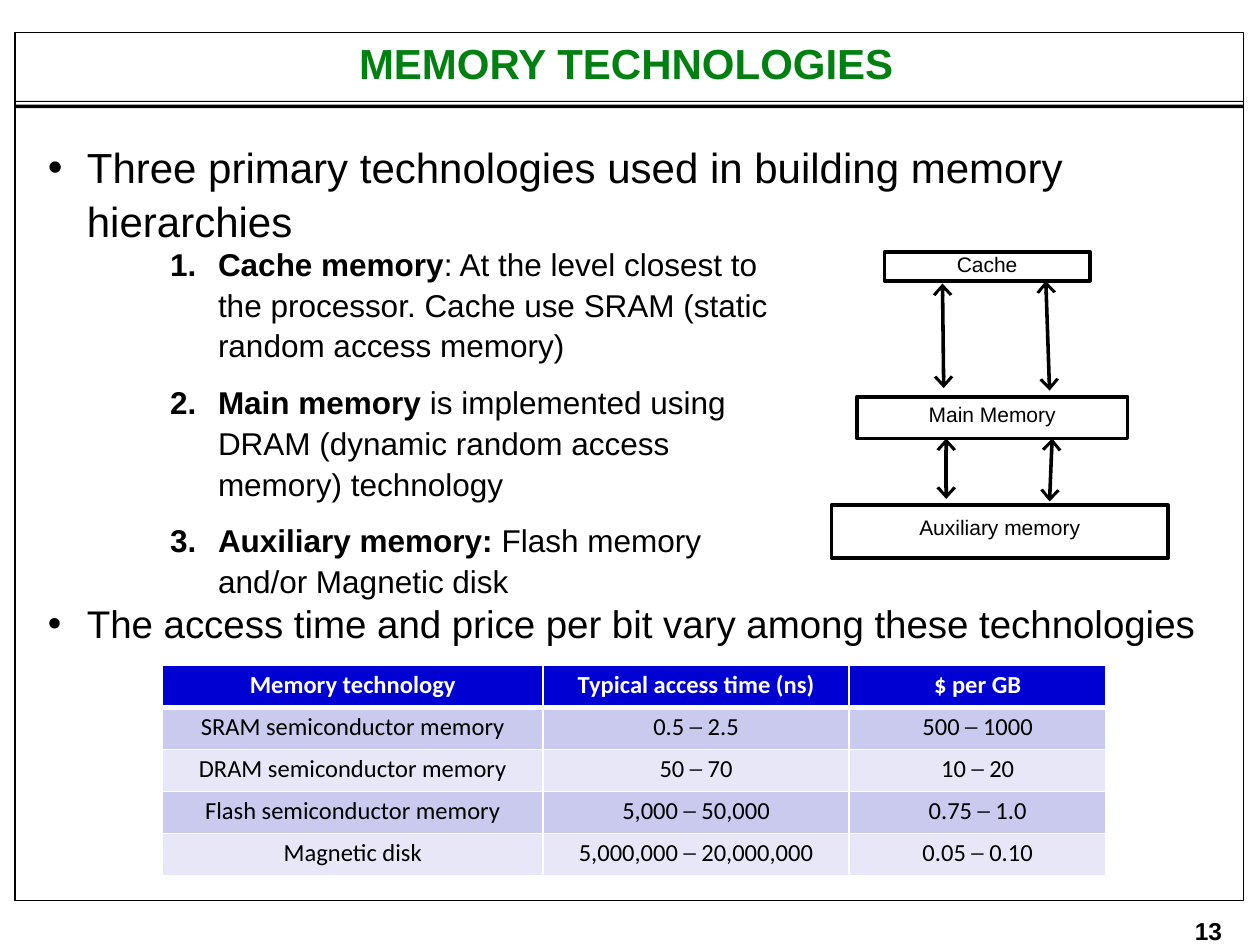
from lxml import etree
from pptx import Presentation
from pptx.dml.color import RGBColor
from pptx.enum.shapes import MSO_CONNECTOR, MSO_SHAPE
from pptx.enum.text import MSO_ANCHOR, MSO_AUTO_SIZE, PP_ALIGN
from pptx.oxml.ns import qn
from pptx.util import Inches, Pt

BLACK = RGBColor(0x00, 0x00, 0x00)
WHITE = RGBColor(0xFF, 0xFF, 0xFF)
GREEN = RGBColor(0x00, 0x80, 0x11)
HEADER_BLUE = RGBColor(0x00, 0x00, 0xD3)
BAND_DARK = RGBColor(0xCA, 0xCA, 0xEE)
BAND_LIGHT = RGBColor(0xE7, 0xE7, 0xF7)


def prepare_frame(shape, box, top_inset):
    shape.left, shape.top, shape.width, shape.height = [Inches(value) for value in box]
    frame = shape.text_frame
    frame.word_wrap = True
    frame.auto_size = MSO_AUTO_SIZE.NONE
    frame.vertical_anchor = MSO_ANCHOR.TOP
    frame.margin_left = frame.margin_right = frame.margin_bottom = 0
    frame.margin_top = Inches(top_inset)
    return frame


def format_paragraph(paragraph, size, bold=False, color=BLACK, bullet=None, hang=0.31, indent=0.33):
    paragraph.space_before = Pt(0)
    if bullet:
        properties = paragraph._p.get_or_add_pPr()
        properties.set("marL", str(Inches(indent)))
        properties.set("indent", str(-Inches(hang)))
        etree.SubElement(properties, qn("a:buFont"), typeface="Arial")
        tag, attribute, value = bullet
        etree.SubElement(properties, qn(tag)).set(attribute, value)
    font = paragraph.font
    font.name, font.size, font.bold = "Arial", Pt(size), bold
    font.color.rgb = color


DOT = ("a:buChar", "char", "•")
NUMBER = ("a:buAutoNum", "type", "arabicPeriod")

presentation = Presentation()
presentation.slide_width, presentation.slide_height = Inches(10), Inches(7.5)
slide = presentation.slides.add_slide(presentation.slide_layouts[3])
shapes = slide.shapes
title, introduction, levels = slide.placeholders

for top, height in [(0.8, 0.01), (0.83, 0.03)]:
    rule = shapes.add_shape(MSO_SHAPE.RECTANGLE, Inches(0.12), Inches(top), Inches(9.75), Inches(height))
    rule.shadow.inherit = False
    rule.fill.solid()
    rule.fill.fore_color.rgb = BLACK
    rule.line.fill.background()

border = shapes.add_shape(MSO_SHAPE.RECTANGLE, Inches(0.12), Inches(0.26), Inches(9.75), Inches(6.89))
border.shadow.inherit = False
border.fill.background()
border.line.color.rgb = BLACK
border.line.width = Pt(0.75)

frame = prepare_frame(title, (0.41, 0.29, 9.12, 0.43), 0.01)
frame.text = "MEMORY TECHNOLOGIES"
frame.paragraphs[0].alignment = PP_ALIGN.CENTER
format_paragraph(frame.paragraphs[0], 24, True, GREEN)

frame = prepare_frame(introduction, (0.36, 1.03, 8.09, 0.79), 0.06)
frame.text = "Three primary technologies used in building memory hierarchies"
frame.paragraphs[0].line_spacing = 1.08
format_paragraph(frame.paragraphs[0], 24, bullet=DOT)

level_texts = [
    ("Cache memory", ": At the level closest to the processor. Cache use SRAM (static random access memory)"),
    ("Main memory ", "is implemented using DRAM (dynamic random access memory) technology"),
    ("Auxiliary memory: ", "Flash memory and/or Magnetic disk"),
]
frame = prepare_frame(levels, (1.34, 1.87, 4.8, 2.72), 0.05)
for index, (term, description) in enumerate(level_texts):
    paragraph = frame.add_paragraph() if index else frame.paragraphs[0]
    paragraph.line_spacing = 1.08
    paragraph.space_after = Pt(9)
    format_paragraph(paragraph, 18, True, bullet=NUMBER, hang=0.38, indent=0.39)
    paragraph.add_run().text = term
    run = paragraph.add_run()
    run.text = description
    run.font.bold = False

memory_boxes = [
    ("Cache", (7.02, 2, 1.63, 0.23), 0),
    ("Main Memory", (6.8, 3.15, 2.15, 0.33), 0.04),
    ("Auxiliary memory", (6.6, 4.01, 2.67, 0.42), 0.07),
]
for name, box, top_inset in memory_boxes:
    memory = shapes.add_shape(MSO_SHAPE.RECTANGLE, 0, 0, 0, 0)
    memory.shadow.inherit = False
    memory.fill.background()
    memory.line.color.rgb = BLACK
    memory.line.width = Pt(2.04)
    frame = prepare_frame(memory, box, top_inset)
    frame.text = name
    frame.paragraphs[0].alignment = PP_ALIGN.CENTER
    format_paragraph(frame.paragraphs[0], 12)

transfers = [
    (7.48, 2.25, 7.49, 3.08),
    (8.3, 2.23, 8.33, 3.1),
    (7.51, 3.48, 7.51, 3.96),
    (8.35, 3.48, 8.33, 3.98),
]
for ends in transfers:
    arrow = shapes.add_connector(MSO_CONNECTOR.STRAIGHT, *[Inches(value) for value in ends])
    arrow.line.color.rgb = BLACK
    arrow.line.width = Pt(2.04)
    line = arrow.line._get_or_add_ln()
    for end in ("a:headEnd", "a:tailEnd"):
        etree.SubElement(line, qn(end), type="arrow", w="lg", len="med")
    etree.SubElement(arrow._element.spPr, qn("a:effectLst"))

frame = prepare_frame(shapes.add_textbox(0, 0, 0, 0), (0.36, 4.75, 9.2, 0.39), 0.01)
frame.text = "The access time and price per bit vary among these technologies"
format_paragraph(frame.paragraphs[0], 22, bullet=DOT)

frame = prepare_frame(shapes.add_textbox(0, 0, 0, 0), (9.43, 7.23, 0.27, 0.25), 0)
frame.text = "13"
frame.paragraphs[0].alignment = PP_ALIGN.RIGHT
frame.paragraphs[0].line_spacing = 1.18
format_paragraph(frame.paragraphs[0], 14, True)

table_rows = [
    ("Memory technology", "Typical access time (ns)", "$ per GB"),
    ("SRAM semiconductor memory", "0.5 ─ 2.5", "500 ─ 1000"),
    ("DRAM semiconductor memory", "50 ─ 70", "10 ─ 20"),
    ("Flash semiconductor memory", "5,000 ─ 50,000", "0.75 ─ 1.0"),
    ("Magnetic disk", "5,000,000 ─ 20,000,000", "0.05 ─ 0.10"),
]
table = shapes.add_table(5, 3, Inches(1.29), Inches(5.28), Inches(7.49), Inches(1.67)).table
for column, width in zip(table.columns, (3.02, 2.43, 2.04)):
    column.width = Inches(width)
for row_index, texts in enumerate(table_rows):
    is_header = row_index == 0
    band = HEADER_BLUE if is_header else (BAND_DARK if row_index % 2 else BAND_LIGHT)
    for column_index, text in enumerate(texts):
        cell = table.cell(row_index, column_index)
        cell.text = text
        cell.margin_left = cell.margin_right = cell.margin_bottom = 0
        cell.margin_top = Inches(0.04)
        paragraph = cell.text_frame.paragraphs[0]
        paragraph.alignment = PP_ALIGN.CENTER
        format_paragraph(paragraph, 14, is_header, WHITE if is_header else BLACK)
        paragraph.font.name = "Calibri"
        for side in ("L", "R", "T", "B"):
            thick = (row_index, side) in [(0, "B"), (1, "T")]
            edge = etree.SubElement(cell._tc.get_or_add_tcPr(), qn("a:ln" + side), w=str(Pt(3 if thick else 1)))
            fill = etree.SubElement(edge, qn("a:solidFill"))
            etree.SubElement(fill, qn("a:srgbClr"), val=str(WHITE))
        cell.fill.solid()
        cell.fill.fore_color.rgb = band

presentation.save("out.pptx")
